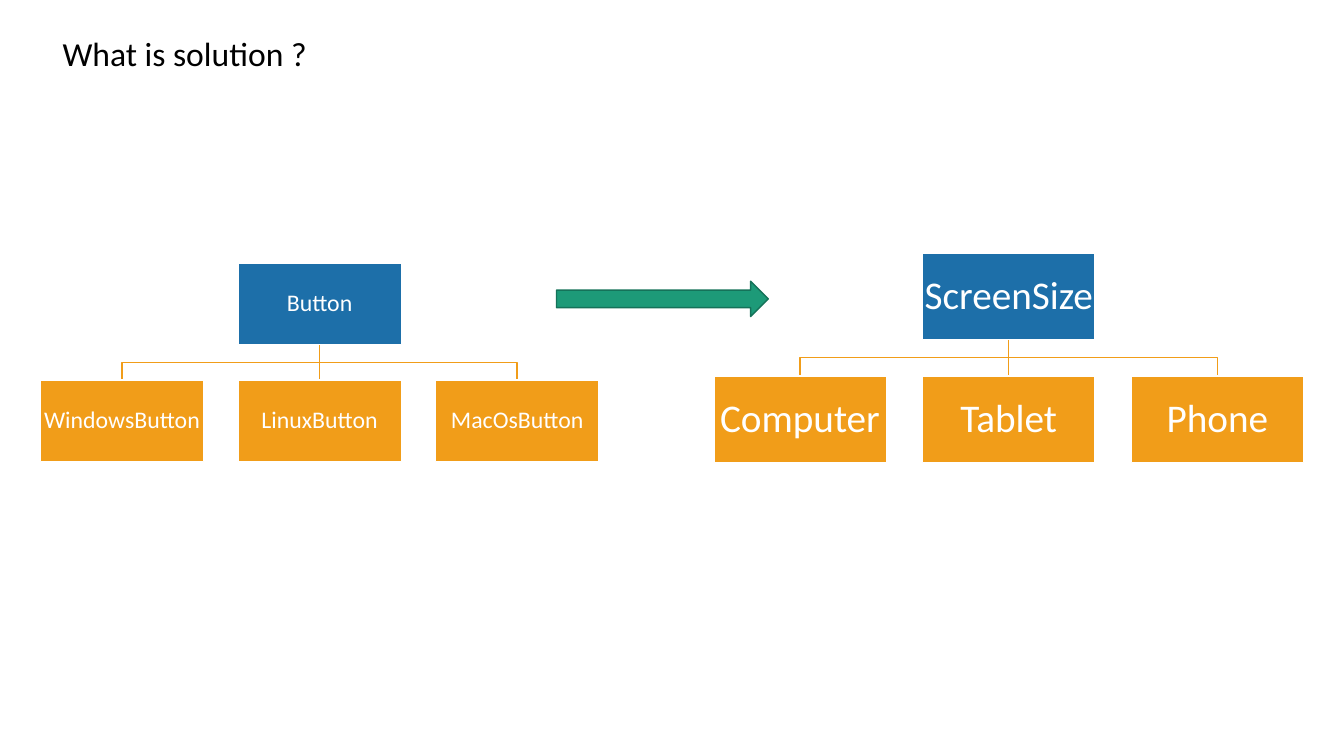
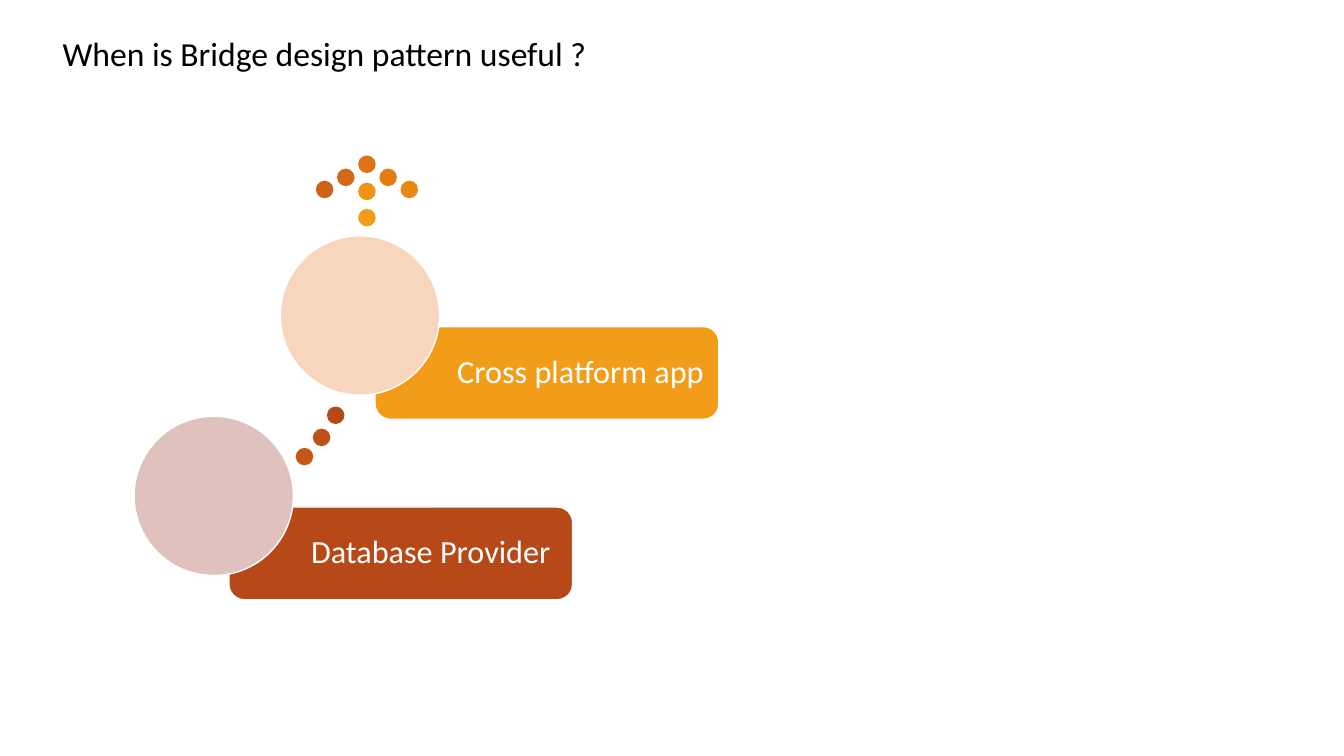
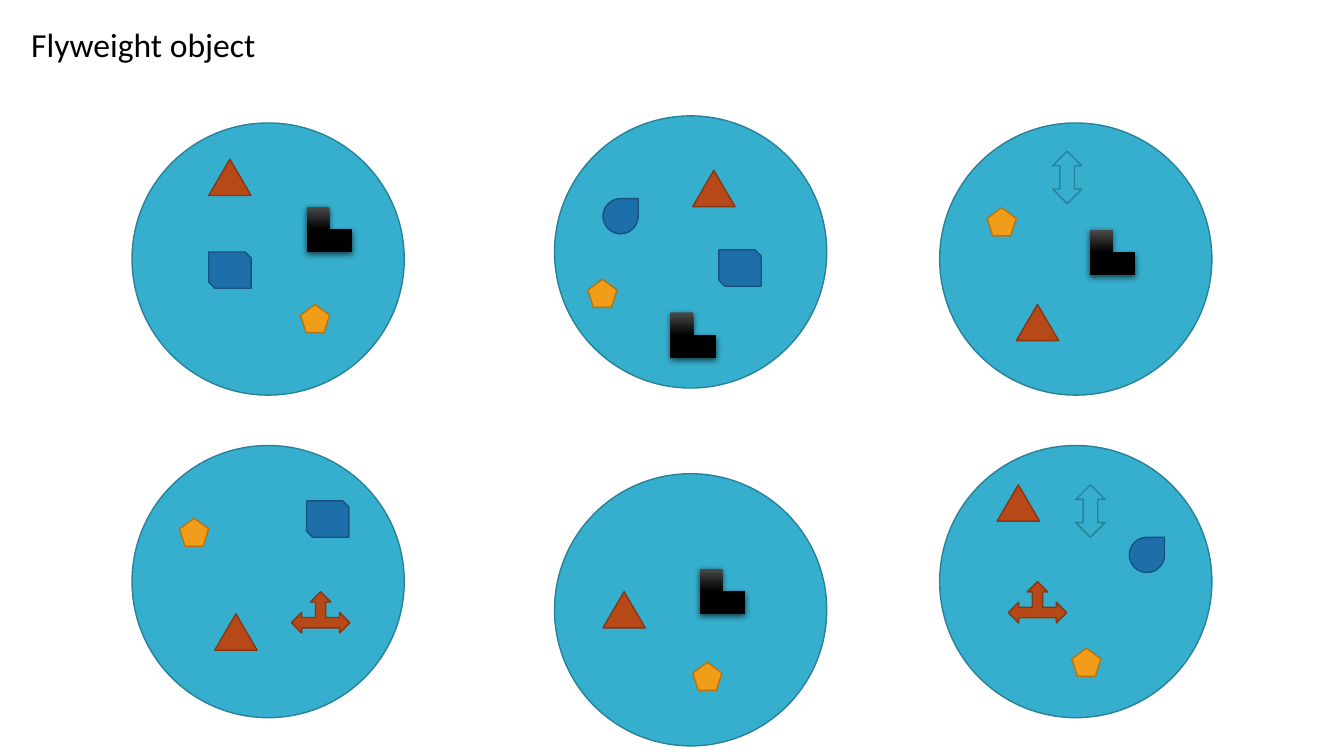
from dataclasses import dataclass

from lxml import etree
from pptx import Presentation
from pptx.dml.color import RGBColor
from pptx.enum import shapes, text
from pptx.oxml.ns import qn
from pptx.util import Inches, Pt

PRESET = shapes.MSO_SHAPE
FONT = "Calibri"
BLACK, WHITE = "000000", "FFFFFF"
BLUE, ORANGE, RUST = "1D6FA9", "F19D19", "B74919"
TEAL, GREEN = "36AFCE", "1D9A78"
BLUE_EDGE, ORANGE_EDGE, RUST_EDGE = "15527D", "B27412", "873612"
TEAL_EDGE, GREEN_EDGE = "288198", "157259"


@dataclass
class Tree:
    """A parent box above a row of children."""
    parent: str
    children: list[str]
    left: float
    parent_top: float
    child_top: float
    width: float
    height: float
    step: float
    size: float


@dataclass
class Example:
    """A label with a round spot over its upper left corner."""
    label: str
    left: float
    top: float
    colour: str
    spot_colour: str


@dataclass
class Glyph:
    """One kind of small object and every place it appears."""
    preset: shapes.MSO_SHAPE
    width: float
    height: float
    fill: str | None
    edge: str | None
    places: list[tuple[float, float]]


def rgb(colour: str) -> RGBColor:
    return RGBColor.from_string(colour)


def apply(target, values: dict) -> None:
    for name, value in values.items():
        setattr(target, name, value)


def style_line(line, colour: str) -> None:
    line.color.rgb = rgb(colour)
    line.width = Pt(1)


def style_font(paragraph, size: float, colour: str) -> None:
    apply(paragraph.font, {"name": FONT, "size": Pt(size), "bold": False})
    paragraph.font.color.rgb = rgb(colour)


def add_title_slide(presentation, title: str, left: float, top: float, width: float):
    """A Title Only slide whose title sits at the upper left."""
    slide = presentation.slides.add_slide(presentation.slide_layouts[5])
    shape = slide.shapes.title
    apply(shape, {"left": Inches(left), "top": Inches(top),
                  "width": Inches(width), "height": Inches(0.5)})
    frame = shape.text_frame
    frame.text = title
    apply(frame, {"word_wrap": False, "auto_size": text.MSO_AUTO_SIZE.NONE,
                  "vertical_anchor": text.MSO_ANCHOR.TOP})
    paragraph = frame.paragraphs[0]
    paragraph.alignment = text.PP_ALIGN.LEFT
    style_font(paragraph, 24, BLACK)
    return slide


def add_box(slide, preset, left: float, top: float, width: float, height: float,
            fill: str | None, edge: str | None):
    shape = slide.shapes.add_shape(
        preset, Inches(left), Inches(top), Inches(width), Inches(height))
    shape.shadow.inherit = False
    if fill:
        shape.fill.solid()
        shape.fill.fore_color.rgb = rgb(fill)
    if edge:
        style_line(shape.line, edge)
    else:
        shape.line.fill.background()
    return shape


def add_label(shape, label: str, size: float, alignment, margins: dict, wrap: bool) -> None:
    frame = shape.text_frame
    frame.text = label
    apply(frame, {"word_wrap": wrap, "vertical_anchor": text.MSO_ANCHOR.MIDDLE})
    apply(frame, {f"margin_{side}": Inches(gap) for side, gap in margins.items()})
    paragraph = frame.paragraphs[0]
    apply(paragraph, {"alignment": alignment, "line_spacing": 0.9})
    style_font(paragraph, size, WHITE)


def add_branch(slide, start_x: float, start_y: float, end_x: float, end_y: float) -> None:
    """A straight or stepped line from a parent down to a child."""
    x1, y1, x2, y2 = (Inches(value) for value in (start_x, start_y, end_x, end_y))
    if x1 == x2:
        branch = slide.shapes.add_connector(shapes.MSO_CONNECTOR.STRAIGHT, x1, y1, x2, y2)
        style_line(branch.line, ORANGE)
        etree.SubElement(branch._element.spPr, qn("a:effectLst"))
        return
    middle = (y1 + y2) // 2
    builder = slide.shapes.build_freeform(x1, y1)
    builder.add_line_segments([(x1, middle), (x2, middle), (x2, y2)], close=False)
    branch = builder.convert_to_shape()
    branch.shadow.inherit = False
    branch.fill.background()
    style_line(branch.line, ORANGE)


def add_tree(slide, tree: Tree) -> None:
    lefts = [tree.left + index * tree.step for index in range(len(tree.children))]
    parent_left = (lefts[0] + lefts[-1]) / 2
    half = tree.width / 2
    for left in lefts:
        add_branch(slide, round(parent_left + half, 3), tree.parent_top + tree.height,
                   round(left + half, 3), tree.child_top)
    boxes = [(tree.parent, parent_left, tree.parent_top, BLUE)]
    boxes += [(name, left, tree.child_top, ORANGE)
              for name, left in zip(tree.children, lefts)]
    margins = dict.fromkeys(("left", "right", "top", "bottom"), 0.02)
    for name, left, top, colour in boxes:
        shape = add_box(slide, PRESET.RECTANGLE, left, top, tree.width, tree.height,
                        colour, WHITE)
        add_label(shape, name, tree.size, text.PP_ALIGN.CENTER, margins, False)


def add_example(slide, example: Example) -> None:
    bar = add_box(slide, PRESET.ROUNDED_RECTANGLE, example.left, example.top, 3.41, 0.92,
                  example.colour, WHITE)
    margins = {"left": 0.77, "right": 0.1, "top": 0.1, "bottom": 0.1}
    add_label(bar, example.label, 23, text.PP_ALIGN.LEFT, margins, True)
    add_box(slide, PRESET.OVAL, example.left - 0.94, example.top - 0.9, 1.58, 1.58,
            example.spot_colour, WHITE)


def add_glossy_finish(shape) -> None:
    """Dark gradient from top to bottom with a soft shadow below."""
    shape.fill.gradient()
    shape.fill.gradient_angle = 270
    for stop, colour, position in zip(shape.fill.gradient_stops, ("4B4B4B", BLACK), (0, 0.5)):
        stop.color.rgb = rgb(colour)
        stop.position = position
    effects = shape._element.spPr.find(qn("a:effectLst"))
    shadow = etree.SubElement(effects, qn("a:outerShdw"), blurRad=str(int(Pt(4.5))),
                              dist=str(int(Pt(1.5))), dir="5400000", algn="ctr",
                              rotWithShape="0")
    colour = etree.SubElement(shadow, qn("a:srgbClr"), val=BLACK)
    etree.SubElement(colour, qn("a:alpha"), val="63000")


def add_glyphs(slide, glyph: Glyph) -> None:
    for left, top in glyph.places:
        shape = add_box(slide, glyph.preset, left, top, glyph.width, glyph.height,
                        glyph.fill, glyph.edge)
        if glyph.fill is None:
            add_glossy_finish(shape)


TREES = [
    Tree("Button", ["WindowsButton", "LinuxButton", "MacOsButton"],
         0.4, 2.61, 3.77, 1.62, 0.81, 1.96, 17),
    Tree("ScreenSize", ["Computer", "Tablet", "Phone"],
         7.08, 2.51, 3.73, 1.71, 0.86, 2.07, 28),
]

# Dotted trail that ends in an arrowhead: left, top, colour
DOTS = [
    (3.25, 4.04, RUST), (3.11, 4.26, "BE5018"), (2.94, 4.45, "C55817"),
    (3.14, 1.8, "CD6117"), (3.35, 1.68, "D46A16"), (3.56, 1.55, "DC7314"),
    (3.77, 1.68, "E37D13"), (3.98, 1.8, "EB8812"),
    (3.56, 1.82, "EF9315"), (3.56, 2.08, ORANGE),
]

EXAMPLES = [
    Example("Database Provider", 2.27, 5.03, RUST, "DFC1BD"),
    Example("Cross platform app", 3.72, 3.24, ORANGE, "F8D5BD"),
]

# Large circles first, then the objects they share
GLYPHS = [
    Glyph(PRESET.OVAL, 2.7, 2.7, TEAL, TEAL_EDGE,
          [(1.31, 1.22), (1.31, 4.42), (5.5, 1.15), (9.32, 4.42), (9.32, 1.22), (5.5, 4.7)]),
    Glyph(PRESET.ISOSCELES_TRIANGLE, 0.42, 0.36, RUST, RUST_EDGE,
          [(2.07, 1.58), (6.87, 1.69), (10.08, 3.02), (2.13, 6.09), (5.98, 5.87), (9.89, 4.81)]),
    Glyph(PRESET.REGULAR_PENTAGON, 0.29, 0.28, ORANGE, ORANGE_EDGE,
          [(2.98, 3.02), (5.83, 2.77), (9.79, 2.06), (1.78, 5.14), (6.87, 6.57), (10.63, 6.43)]),
    Glyph(PRESET.SNIP_2_DIAG_RECTANGLE, 0.42, 0.36, BLUE, BLUE_EDGE,
          [(2.07, 2.5), (3.04, 4.97), (7.13, 2.48)]),
    Glyph(PRESET.from_xml("corner"), 0.45, 0.45, None, None,
          [(3.04, 2.05), (6.65, 3.1), (10.81, 2.28), (6.94, 5.64)]),
    Glyph(PRESET.LEFT_RIGHT_UP_ARROW, 0.58, 0.41, RUST, RUST_EDGE,
          [(2.89, 5.87), (10, 5.77)]),
    Glyph(PRESET.TEAR, 0.35, 0.35, BLUE, BLUE_EDGE, [(11.2, 5.33), (5.98, 1.97)]),
    Glyph(PRESET.UP_DOWN_ARROW, 0.29, 0.52, TEAL, TEAL_EDGE, [(10.67, 4.81), (10.44, 1.5)]),
]


def main() -> None:
    presentation = Presentation()
    apply(presentation, {"slide_width": Inches(13.33), "slide_height": Inches(7.5)})

    # Two hierarchies joined by an arrow
    slide = add_title_slide(presentation, "What is solution ?", 0.52, 0.28, 2.65)
    for tree in TREES:
        add_tree(slide, tree)
    add_box(slide, PRESET.RIGHT_ARROW, 5.52, 2.79, 2.1, 0.35, GREEN, GREEN_EDGE)

    # Rising examples along a dotted arrow
    slide = add_title_slide(presentation, "When is Bridge design pattern useful ?",
                            0.52, 0.28, 5.45)
    for left, top, colour in DOTS:
        add_box(slide, PRESET.OVAL, left, top, 0.16, 0.16, colour, colour)
    for example in EXAMPLES:
        add_example(slide, example)

    # Circles that reuse the same small objects
    slide = add_title_slide(presentation, "Flyweight object", 0.21, 0.19, 2.45)
    for glyph in GLYPHS:
        add_glyphs(slide, glyph)

    presentation.save("out.pptx")


if __name__ == "__main__":
    main()
